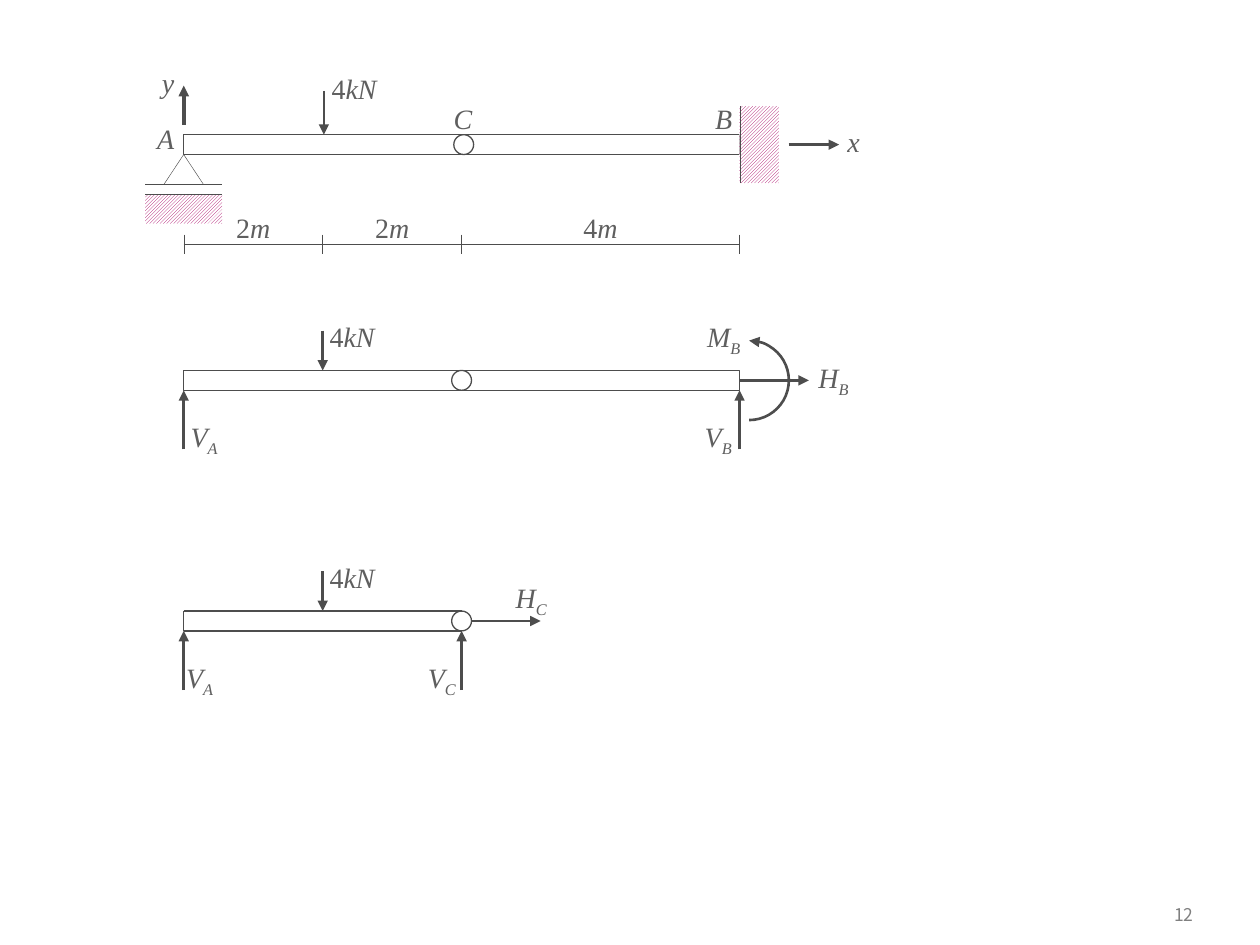
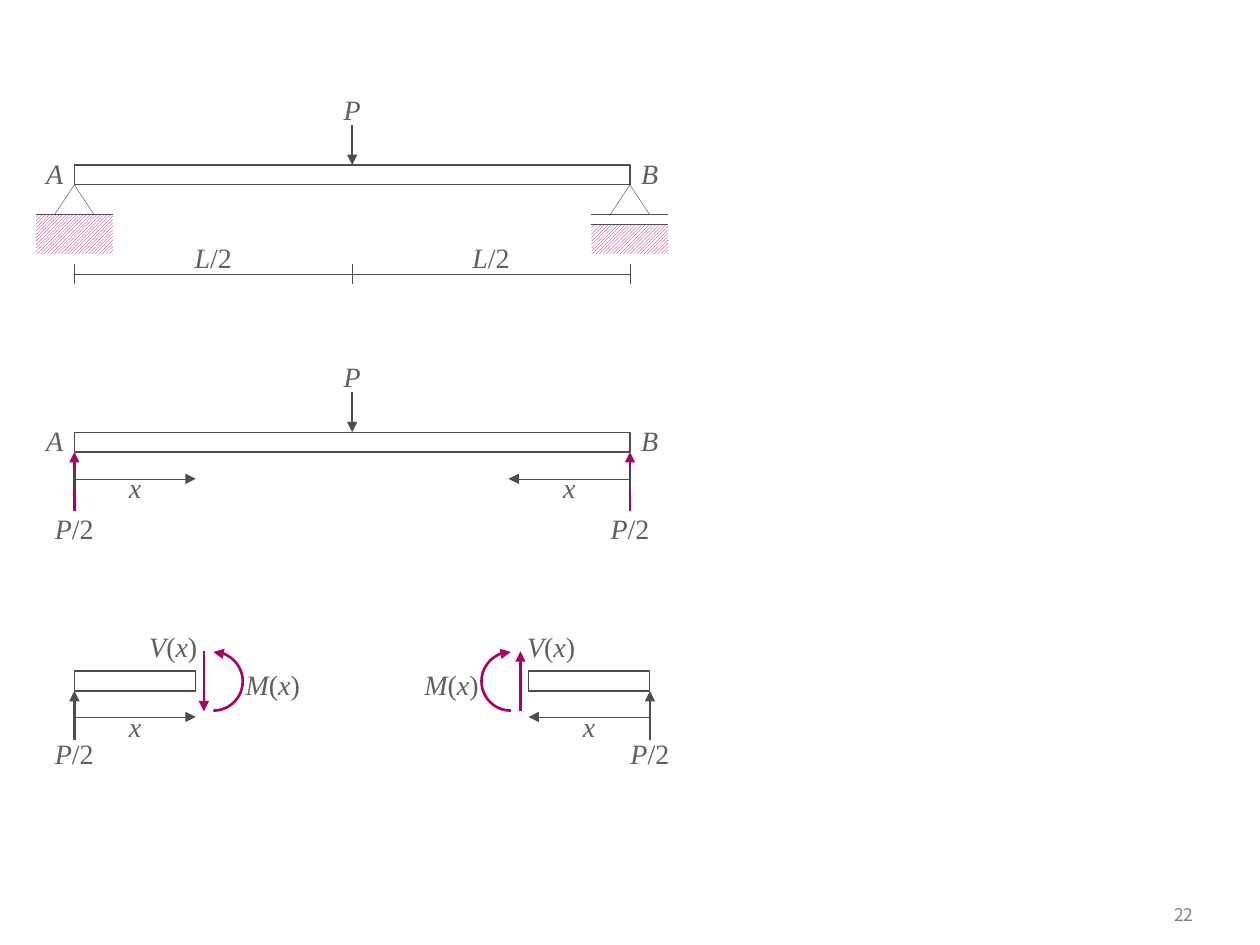
from dataclasses import dataclass
from itertools import groupby, pairwise

from pptx import Presentation
from pptx.dml.color import RGBColor
from pptx.enum import dml, shapes, text
from pptx.oxml import ns, xmlchemy as xml
from pptx.shapes.autoshape import Shape
from pptx.shapes.connector import Connector
from pptx.slide import Slide
from pptx.util import Pt

HUES = {"ink": "4D4D4D", "word": "5F5F5F", "page": "808080", "plum": "A90165", "white": "FFFFFF"}
MATH = "Times New Roman"
SANS = "Noto Sans CJK KR"
DEPTH = 11.34
THIN, EDGE, BOLD = 0.25, 0.75, 1.5
KINDS = shapes.MSO_SHAPE


@dataclass
class Label:
    x: float
    top: float
    words: str


@dataclass
class Line:
    x1: float
    y1: float
    x2: float
    y2: float
    width: float = THIN
    hue: str = "ink"
    arrow: bool = False


@dataclass
class Stand:
    x: float
    top: float
    rolls: bool


@dataclass
class Span:
    stops: list[float]
    y: float
    names: list[str]


def color(name: str) -> RGBColor:
    return RGBColor.from_string(HUES[name])


def add_tail(item: Shape | Connector) -> None:
    tail = xml.OxmlElement("a:tailEnd")
    tail.set("type", "triangle")
    item.line._get_or_add_ln().append(tail)


def draw_line(slide: Slide, line: Line) -> Connector:
    item = slide.shapes.add_connector(
        shapes.MSO_CONNECTOR.STRAIGHT, Pt(line.x1), Pt(line.y1), Pt(line.x2), Pt(line.y2))
    item.line.width = Pt(line.width)
    item.line.color.rgb = color(line.hue)
    if line.arrow:
        add_tail(item)
    item._element.spPr.append(xml.OxmlElement("a:effectLst"))
    return item


def draw_force(slide: Slide, x: float, start: float, end: float, hue: str = "ink") -> Connector:
    return draw_line(slide, Line(x, start, x, end, BOLD, hue, True))


def draw_shape(slide: Slide, kind: shapes.MSO_SHAPE, x: float, y: float,
               w: float, h: float, width: float = EDGE, hue: str = "ink") -> Shape:
    item = slide.shapes.add_shape(kind, Pt(x), Pt(y), Pt(w), Pt(h))
    item.shadow.inherit = False
    item.fill.background()
    item.line.color.rgb = color(hue)
    item.line.width = Pt(width)
    return item


def draw_beam(slide: Slide, x: float, top: float, w: float) -> Shape:
    return draw_shape(slide, KINDS.RECTANGLE, x, top, w, DEPTH)


def draw_hinge(slide: Slide, x: float, top: float) -> None:
    draw_shape(slide, KINDS.OVAL, x - DEPTH / 2, top, DEPTH, DEPTH)


def draw_hatch(slide: Slide, x: float, y: float, w: float, h: float) -> None:
    item = draw_shape(slide, KINDS.RECTANGLE, x, y, w, h)
    item.line.fill.background()
    item.fill.patterned()
    item.fill.pattern = dml.MSO_PATTERN.LIGHT_UPWARD_DIAGONAL
    item.fill.fore_color.rgb = color("plum")
    item.fill.back_color.rgb = color("white")


def draw_turn(slide: Slide, x: float, y: float, size: float, hue: str, flip: bool = False) -> None:
    item = draw_shape(slide, KINDS.ARC, x - size / 2, y - size / 2, size, size, BOLD, hue)
    item.adjustments[0] = 162
    item.adjustments[1] = 54
    frame = item._element.spPr.find(ns.qn("a:xfrm"))
    frame.set("flipV", "1")
    if flip:
        frame.set("flipH", "1")
    add_tail(item)


def draw_stand(slide: Slide, stand: Stand) -> None:
    half, floor, base = 22, stand.top + 17, stand.top + 39.5
    ground = floor + 5.65 if stand.rolls else floor
    left, right = stand.x - half, stand.x + half
    draw_hatch(slide, left, ground, 2 * half, base - ground)
    for y in sorted({floor, ground}):
        draw_line(slide, Line(left, y, right, y))
    draw_shape(slide, KINDS.ISOSCELES_TRIANGLE, stand.x - 11.25, stand.top, 22.5, 17, THIN)


def draw_label(slide: Slide, label: Label) -> None:
    w = 50
    box = slide.shapes.add_textbox(Pt(label.x - w / 2), Pt(label.top), Pt(w), Pt(26.6))
    box.text_frame.word_wrap = False
    para = box.text_frame.paragraphs[0]
    para.alignment = text.PP_ALIGN.CENTER
    main, _, sub = label.words.partition("_")
    parts = [("".join(part), slant, False) for slant, part in groupby(main, str.isalpha)]
    if sub:
        parts.append((sub, True, True))
    for words, slant, low in parts:
        run = para.add_run()
        run.text = words
        run.font.name = MATH
        run.font.size = Pt(16)
        run.font.italic = slant
        run.font.color.rgb = color("word")
        if low:
            run.font._element.set("baseline", "-25000")


def draw_labels(slide: Slide, labels: list[Label]) -> None:
    for label in labels:
        draw_label(slide, label)


def draw_tick(slide: Slide, x: float, y: float) -> None:
    draw_line(slide, Line(x, y - 5.65, x, y + 5.65))


def draw_span(slide: Slide, span: Span) -> None:
    draw_line(slide, Line(span.stops[0], span.y, span.stops[-1], span.y))
    for x in span.stops:
        draw_tick(slide, x, span.y)
    for (x1, x2), name in zip(pairwise(span.stops), span.names):
        draw_label(slide, Label((x1 + x2) / 2, span.y - 23, name))


def draw_reach(slide: Slide, x: float, y: float, size: float) -> None:
    draw_tick(slide, x, y)
    draw_line(slide, Line(x, y, x + size, y, arrow=True))
    draw_label(slide, Label(x + size / 2, y - 8, "x"))


def draw_page(slide: Slide, page: str) -> None:
    box = slide.shapes.add_textbox(Pt(638), Pt(510.5), Pt(51), Pt(23.8))
    frame = box.text_frame
    frame.word_wrap = True
    frame.vertical_anchor = text.MSO_ANCHOR.MIDDLE
    para = frame.paragraphs[0]
    para.alignment = text.PP_ALIGN.RIGHT
    run = para.add_run()
    run.text = page
    run.font.name = SANS
    run.font.size = Pt(10)
    run.font.color.rgb = color("page")


def build_hinged(slide: Slide) -> None:
    left, metre = 105, 39.7
    load, hinge, right = (left + n * metre for n in (2, 4, 8))
    length = right - left

    top = 77
    mid = top + DEPTH / 2
    draw_beam(slide, left, top, length)
    draw_hinge(slide, hinge + 1.2, top)
    draw_stand(slide, Stand(left, top + DEPTH, True))
    draw_hatch(slide, right, mid - 22, 22.5, 44)
    draw_line(slide, Line(right + 0.4, mid + 22, right + 0.4, mid - 22))
    draw_force(slide, load + 0.7, top - 25, top)
    draw_line(slide, Line(left, 71.3, left, 49, 0, arrow=True))
    draw_line(slide, Line(450.7, mid, 479.5, mid, 0, arrow=True))
    draw_span(slide, Span([left, load, hinge, right], 139.7, ["2m", "2m", "4m"]))
    draw_labels(slide, [
        Label(94.7, 66.2, "A"), Label(413.6, 54.7, "B"), Label(264.6, 54.7, "C"),
        Label(202.3, 37.4, "4kN"), Label(96.1, 33.8, "y"), Label(487.8, 67.7, "x")])

    top = 211.7
    mid = top + DEPTH / 2
    beam = draw_beam(slide, left, top, length)
    draw_hinge(slide, hinge, top)
    push = draw_line(slide, Line(right, mid, 462.2, mid, BOLD, arrow=True))
    push.begin_connect(beam, 3)
    draw_turn(slide, 428.1, mid, 45.4, "ink")
    draw_labels(slide, [
        Label(116.6, 236.2, "V_A"), Label(410.4, 236.2, "V_B"),
        Label(476.3, 202.3, "H_B"), Label(413.6, 179.3, "M_B")])

    cut = 349.2
    mid, base = cut + DEPTH / 2, cut + DEPTH
    for y in (cut, base):
        draw_line(slide, Line(left, y, hinge, y, EDGE))
    draw_line(slide, Line(left, cut, left, base, EDGE))
    draw_hinge(slide, hinge, cut)
    draw_line(slide, Line(hinge + DEPTH / 2, mid, 308.9, mid, BOLD, arrow=True))
    draw_labels(slide, [
        Label(114.1, 373.7, "V_A"), Label(252.4, 373.7, "V_C"), Label(303.5, 328.3, "H_C")])

    for y, end in ((top, right), (cut, hinge)):
        draw_force(slide, load, y - 22.7, y)
        draw_label(slide, Label(201.2, y - 32.4, "4kN"))
        for x in (left, end):
            draw_force(slide, x, y + DEPTH + 33.8, y + DEPTH)


def build_simple(slide: Slide) -> None:
    left, right, reach = 42.5, 360, 69.4
    mid = (left + right) / 2
    whole, free, cut = 94.3, 247, 383.5

    for top in (whole, free):
        beam = draw_beam(slide, left, top, right - left)
        draw_force(slide, mid, top - 22.7, top).end_connect(beam, 0)
        draw_labels(slide, [
            Label(31.3, top - 8.4, "A"), Label(371.2, top - 8.4, "B"),
            Label(mid, top - 45.2, "P")])

    for x, rolls in ((left, False), (right, True)):
        draw_stand(slide, Stand(x, whole + DEPTH, rolls))
    draw_span(slide, Span([left, mid, right], 156.7, ["L/2", "L/2"]))

    for x, way in ((left, 1), (right, -1)):
        draw_force(slide, x, 292.3, free + DEPTH, "plum")
        draw_reach(slide, x, 273.6, way * reach)
        draw_label(slide, Label(x, 288.7, "P/2"))

    high, low = 372.2, 406.5
    for x, way in ((left, 1), (371.4, -1)):
        draw_beam(slide, min(x, x + way * reach), cut, reach)
        draw_force(slide, x, 422.6, cut + DEPTH)
        draw_reach(slide, x, 409.7, way * reach)
        draw_force(slide, x + way * 74, *(high, low)[::way], "plum")
        draw_turn(slide, x + way * 79.5, (high + low) / 2, 33.5, "plum", way < 0)
        draw_labels(slide, [
            Label(x + way * 113.4, 378, "M(x)"), Label(x + way * 56.5, 356.4, "V(x)"),
            Label(x, 417.6, "P/2")])


def main() -> None:
    deck = Presentation()
    deck.slide_width, deck.slide_height = Pt(720), Pt(540)
    for page, build in (("12", build_hinged), ("22", build_simple)):
        slide = deck.slides.add_slide(deck.slide_layouts[6])
        draw_page(slide, page)
        build(slide)
    deck.save("out.pptx")


if __name__ == "__main__":
    main()
